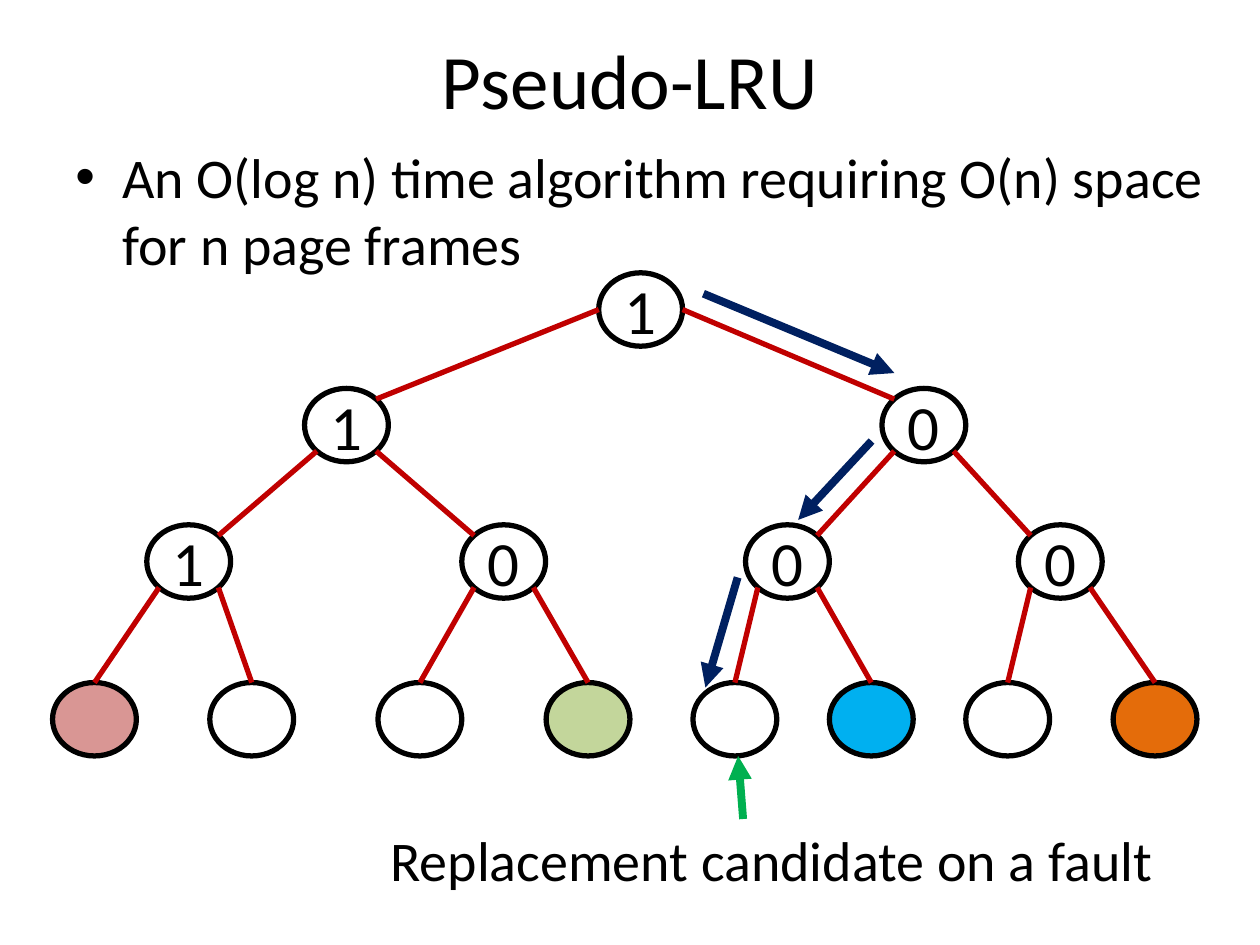
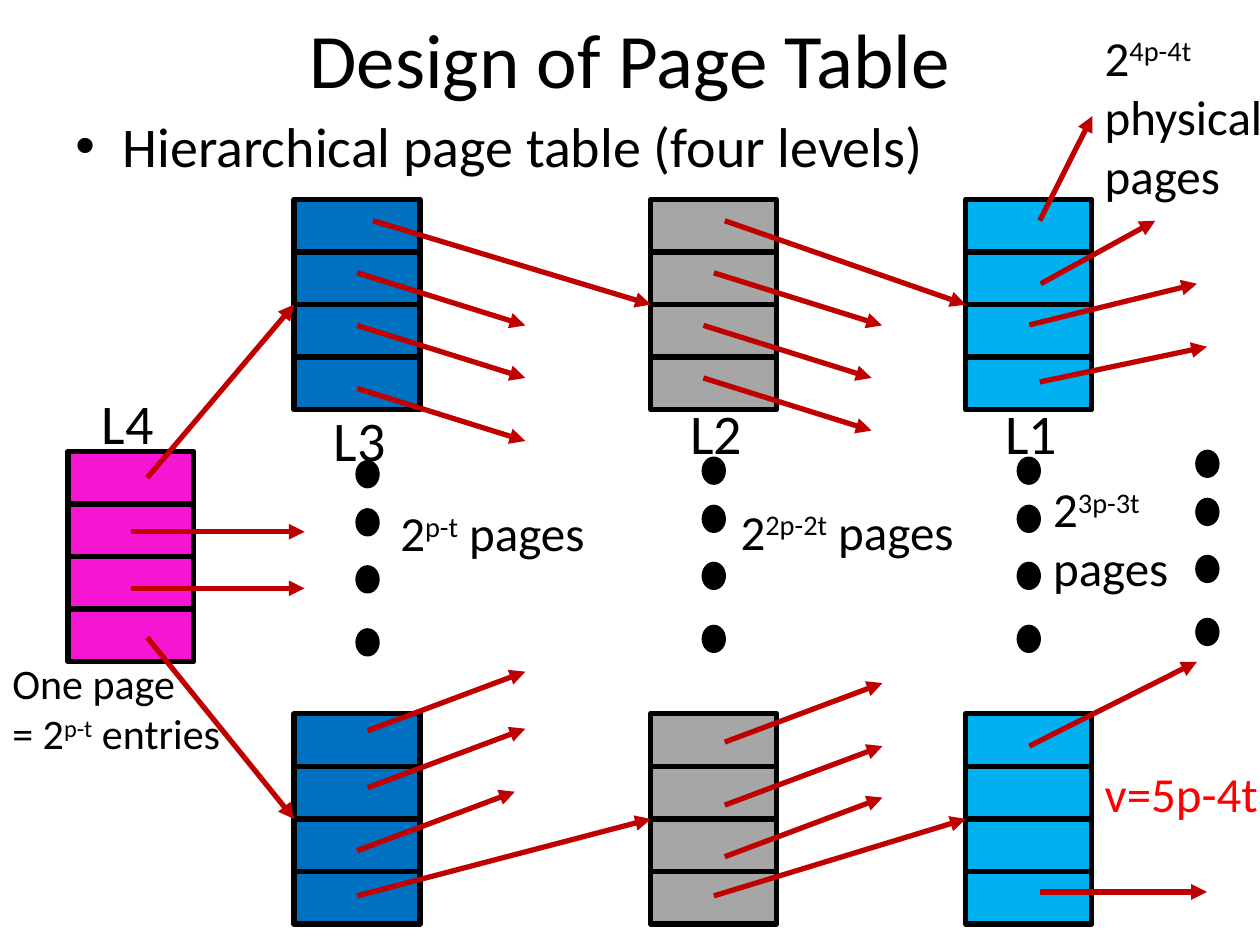
"""Build two slides on page replacement and hierarchical page tables."""
from math import sqrt

from lxml import etree
from pptx import Presentation
from pptx.dml.color import RGBColor
from pptx.enum.shapes import MSO_CONNECTOR, MSO_SHAPE
from pptx.enum.text import MSO_ANCHOR, MSO_AUTO_SIZE, PP_ALIGN
from pptx.oxml.ns import qn
from pptx.util import Cm, Pt

STRAIGHT = MSO_CONNECTOR.STRAIGHT
OVAL, RECTANGLE = MSO_SHAPE.OVAL, MSO_SHAPE.RECTANGLE
MIDDLE, CENTER, LEFT = MSO_ANCHOR.MIDDLE, PP_ALIGN.CENTER, PP_ALIGN.LEFT
FIT_TEXT = MSO_AUTO_SIZE.SHAPE_TO_FIT_TEXT

FONT = "Calibri"
BLACK = RGBColor(0x00, 0x00, 0x00)
RED = RGBColor(0xFF, 0x00, 0x00)
DARK_RED = RGBColor(0xC0, 0x00, 0x00)
NAVY = RGBColor(0x00, 0x20, 0x60)
GREEN = RGBColor(0x00, 0xB0, 0x50)
ROSE = RGBColor(0xD9, 0x96, 0x94)
LIME = RGBColor(0xC3, 0xD6, 0x9B)
SKY = RGBColor(0x00, 0xB0, 0xF0)
ORANGE = RGBColor(0xE4, 0x6C, 0x0A)
MAGENTA = RGBColor(0xF6, 0x16, 0xD1)
BLUE = RGBColor(0x00, 0x70, 0xC0)
GRAY = RGBColor(0xA6, 0xA6, 0xA6)

NODE_W, NODE_H = 1.69, 1.48
TREE_LEVELS = [
    (5.5, [(12.07, "1", None)]),
    (7.83, [(6.14, "1", None), (17.78, "0", None)]),
    (10.58, [(2.96, "1", None), (9.31, "0", None),
             (15.03, "0", None), (20.53, "0", None)]),
    (13.76, [(1.06, "", ROSE), (4.23, "", None), (7.62, "", None),
             (11.01, "", LIME), (13.97, "", None), (16.72, "", SKY),
             (19.47, "", None), (22.44, "", ORANGE)]),
]
VICTIM_PATH = [
    ((14.18, 5.92), (18.03, 7.52)),
    ((17.57, 8.89), (16.09, 10.48)),
    ((14.87, 11.64), (14.22, 13.86)),
]
CANDIDATE_POINTER = ((14.98, 16.51), (14.88, 15.24))
CANDIDATE_LABEL = ("Replacement candidate on a fault", 7.62, 16.51, 16.05, 1.62, 32, BLACK)

ENTRY_W, ENTRY_H, ENTRIES = 2.54, 1.06, 4
UPPER, LOWER = 4.02, 14.39
L3_LEFT, L2_LEFT, L1_LEFT = 5.93, 13.12, 19.47
PAGE_TABLES = [(1.37, 9.1, MAGENTA)] + [
    (left, top, color)
    for left, color in ((L3_LEFT, BLUE), (L2_LEFT, GRAY), (L1_LEFT, SKY))
    for top in (UPPER, LOWER)
]
TABLE_LINKS = [
    ((2.97, 9.63), L3_LEFT, UPPER), ((2.97, 12.85), L3_LEFT, LOWER),
    ((7.52, 4.45), L2_LEFT, UPPER), ((7.2, 18.06), L2_LEFT, LOWER),
    ((14.61, 4.45), L1_LEFT, UPPER), ((14.39, 18.06), L1_LEFT, LOWER),
]
OPEN_LINKS = [
    ((3.5, 0), [(2.64, 10.72), (2.64, 11.86)]),
    ((3.39, 1.06), [(7.2, 5.5), (7.2, 6.56), (7.2, 7.83),
                    (14.39, 5.5), (14.18, 6.56), (14.18, 7.62)]),
    ((3.18, -1.19), [(7.2, 17.15), (7.41, 15.88), (7.41, 14.73),
                     (14.61, 14.96), (14.61, 16.23), (14.61, 17.27)]),
]
PHYSICAL_LINKS = [
    ((20.96, 4.45), (22.02, 2.34)),
    ((20.98, 5.72), (23.29, 4.45)),
    ((20.75, 6.55), (24.13, 5.72)),
    ((20.96, 7.7), (24.33, 6.99)),
    ((20.75, 15.04), (24.13, 13.34)),
    ((20.96, 17.98), (24.33, 17.98)),
]
DOT_W, DOT_H = 0.42, 0.5
DOT_DROPS = [0, 0.97, 2.12, 3.39]
DOT_COLUMNS = [(7.2, 9.31), (14.18, 9.24), (20.53, 9.24), (24.13, 9.1)]
PAGE_LABELS = [
    ("L4", 1.8, 7.7, 1.57, 1.62, 32, BLACK),
    ("L3", 6.48, 8.05, 1.57, 1.62, 32, BLACK),
    ("L2", 13.67, 7.9, 1.57, 1.62, 32, BLACK),
    ("L1", 20.02, 7.9, 1.57, 1.62, 32, BLACK),
    ("One page\n= 2^p-t^ entries", 0, 13.13, 4.83, 2.31, 24, BLACK),
    ("2^p-t^ pages", 7.82, 10.01, 4.37, 1.45, 28, BLACK),
    ("2^2p-2t^ pages", 14.68, 9.98, 5.05, 1.45, 28, BLACK),
    ("2^3p-3t^\npages", 20.98, 9.53, 2.87, 2.64, 28, BLACK),
    ("v=5p-4t", 22.02, 15.27, 3.63, 1.45, 28, RED),
    ("2^4p-4t^\nphysical\npages", 22.02, 0.43, 3.73, 3.84, 28, BLACK),
]


def style_paragraph(paragraph, size, color=BLACK, align=LEFT):
    paragraph.alignment = align
    font = paragraph.font
    font.name, font.size, font.color.rgb = FONT, Pt(size), color


def add_titled_slide(deck, title, title_box, bullet, bullet_box):
    slide = deck.slides.add_slide(deck.slide_layouts[5])
    heading = slide.shapes.title
    heading.left, heading.top, heading.width, heading.height = map(Cm, title_box)
    heading.text_frame.text = title
    heading.text_frame.vertical_anchor = MIDDLE
    style_paragraph(heading.text_frame.paragraphs[0], 44, align=CENTER)

    frame = slide.shapes.add_textbox(*map(Cm, bullet_box)).text_frame
    frame.word_wrap = True
    frame.text = bullet
    point = frame.paragraphs[0]
    style_paragraph(point, 32)
    properties = point._p.get_or_add_pPr()
    properties.set("marL", str(Cm(0.95)))
    properties.set("indent", str(-Cm(0.95)))
    marks = [etree.Element(qn("a:buFont"), typeface="Arial"),
             etree.Element(qn("a:buChar"), char="•")]
    for position, mark in enumerate(marks):
        properties.insert(position, mark)
    return slide


def add_block(slide, kind, left, top, width, height, fill=None, text="", weight=3):
    block = slide.shapes.add_shape(kind, *map(Cm, (left, top, width, height)))
    block.shadow.inherit = False
    if fill is None:
        block.fill.background()
    else:
        block.fill.solid()
        block.fill.fore_color.rgb = fill
    block.line.color.rgb = BLACK
    block.line.width = Pt(weight)
    if text:
        block.text_frame.text = text
        block.text_frame.vertical_anchor = MIDDLE
        style_paragraph(block.text_frame.paragraphs[0], 36, align=CENTER)


def add_link(slide, start, end, color=DARK_RED, weight=3, arrow=True):
    link = slide.shapes.add_connector(STRAIGHT, *map(Cm, (*start, *end)))
    link.line.color.rgb = color
    link.line.width = Pt(weight)
    properties = link._element.spPr
    if arrow:
        etree.SubElement(properties.find(qn("a:ln")), qn("a:tailEnd"), type="triangle")
    etree.SubElement(properties, qn("a:effectLst"))


def add_label(slide, text, left, top, width, height, size, color):
    frame = slide.shapes.add_textbox(*map(Cm, (left, top, width, height))).text_frame
    frame.word_wrap = False
    frame.auto_size = FIT_TEXT
    for number, line in enumerate(text.split("\n")):
        paragraph = frame.add_paragraph() if number else frame.paragraphs[0]
        style_paragraph(paragraph, size, color)
        for part, words in enumerate(line.split("^")):
            if words:
                run = paragraph.add_run()
                run.text = words
                if part % 2:
                    run._r.get_or_add_rPr().set("baseline", "30000")


def node_point(left, top, across, down):
    """Return the point at the given fraction of the half-axes from a node's centre."""
    return left + NODE_W / 2 * (1 + across), top + NODE_H / 2 * (1 + down)


def add_tree(slide):
    for top, nodes in TREE_LEVELS:
        for left, bit, fill in nodes:
            add_block(slide, OVAL, left, top, NODE_W, NODE_H, fill, bit)
    diagonal = 1 / sqrt(2)
    last = len(TREE_LEVELS) - 1
    for depth in range(1, last + 1):
        parent_top, parents = TREE_LEVELS[depth - 1]
        top, children = TREE_LEVELS[depth]
        for index, child in enumerate(children):
            side = 1 if index % 2 else -1
            leave = (side, 0) if depth == 1 else (side * diagonal, diagonal)
            arrive = (0, -1) if depth == last else (-side * diagonal, -diagonal)
            add_link(slide, node_point(parents[index // 2][0], parent_top, *leave),
                     node_point(child[0], top, *arrive), arrow=False)


def build_pseudo_lru(deck):
    slide = add_titled_slide(
        deck, "Pseudo-LRU", (1.27, 0, 22.86, 3.18),
        "An O(log n) time algorithm requiring O(n) space for n page frames",
        (1.27, 2.75, 24.13, 16.3))
    add_tree(slide)
    for start, end in VICTIM_PATH:
        add_link(slide, start, end, NAVY, 4.5)
    add_label(slide, *CANDIDATE_LABEL)
    add_link(slide, *CANDIDATE_POINTER, GREEN, 4.5)


def build_page_table(deck):
    slide = add_titled_slide(
        deck, "Design of Page Table", (0, 0, 25.4, 2.33),
        "Hierarchical page table (four levels)", (1.27, 2.12, 24.13, 16.93))
    for left, top, color in PAGE_TABLES:
        for entry in range(ENTRIES):
            add_block(slide, RECTANGLE, left, top + entry * ENTRY_H,
                      ENTRY_W, ENTRY_H, color)
    for left, top in DOT_COLUMNS:
        for drop in DOT_DROPS:
            add_block(slide, OVAL, left, top + drop, DOT_W, DOT_H, BLACK, weight=2)
    for start, left, top in TABLE_LINKS:
        add_link(slide, start, (left, top + ENTRIES * ENTRY_H / 2))
    for (run, rise), starts in OPEN_LINKS:
        for x, y in starts:
            add_link(slide, (x, y), (x + run, y + rise))
    for start, end in PHYSICAL_LINKS:
        add_link(slide, start, end)
    for label in PAGE_LABELS:
        add_label(slide, *label)


def main():
    deck = Presentation()
    deck.slide_width, deck.slide_height = Cm(25.4), Cm(19.05)
    build_pseudo_lru(deck)
    build_page_table(deck)
    deck.save("out.pptx")


if __name__ == "__main__":
    main()
